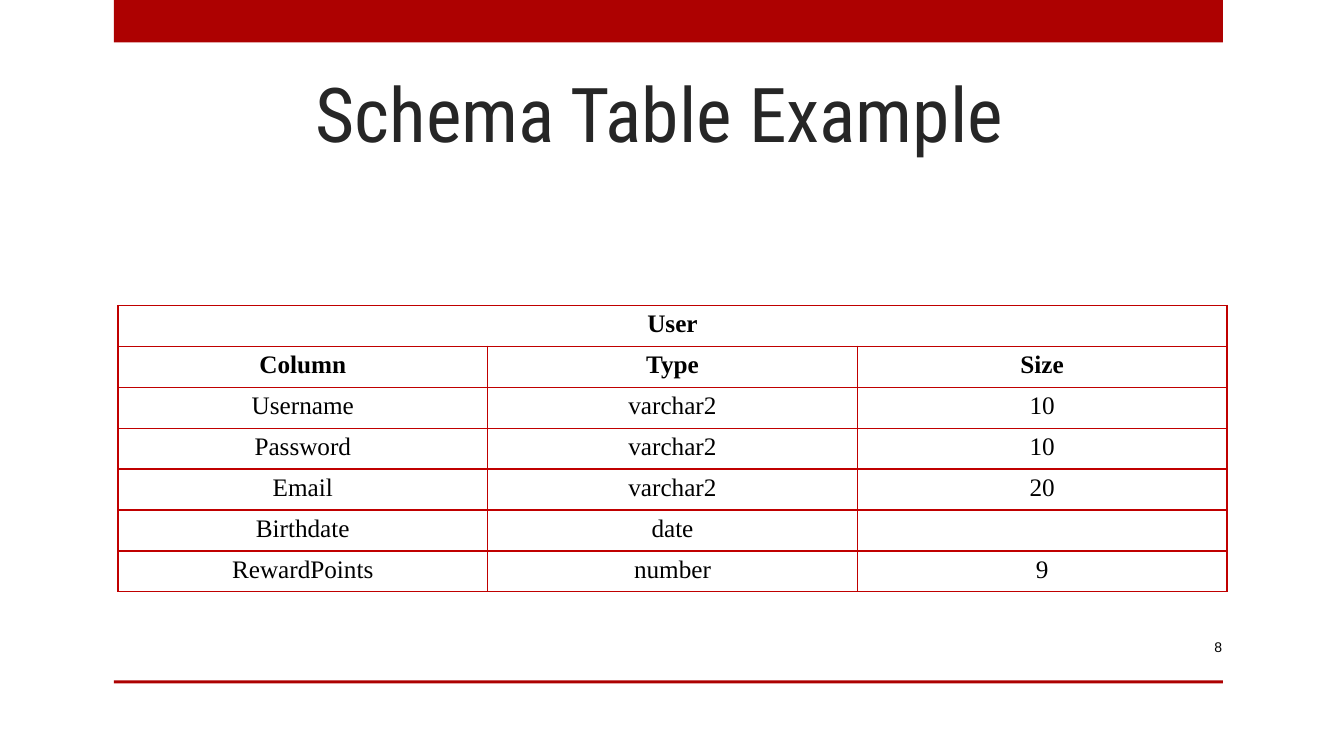
from dataclasses import dataclass

from lxml.etree import SubElement
from pptx import Presentation
from pptx.dml.color import RGBColor as RGB
from pptx.enum.shapes import MSO_SHAPE as Shape
from pptx.enum.text import MSO_ANCHOR as Anchor, PP_ALIGN as Align
from pptx.oxml.ns import qn
from pptx.util import Inches, Pt

TITLE = "Schema Table Example"
PAGE_NUMBER = "8"
ENTITY = "User"
HEADINGS = ("Column", "Type", "Size")
FIELDS = [
    ("Username", "varchar2", "10"),
    ("Password", "varchar2", "10"),
    ("Email", "varchar2", "20"),
    ("Birthdate", "date", ""),
    ("RewardPoints", "number", "9"),
]


@dataclass(frozen=True)
class Theme:
    band: str = "AD0101"
    grid: str = "C00000"
    paper: str = "FFFFFF"
    title_ink: str = "262626"
    ink: str = "000000"
    title_font: str = "Roboto Condensed"
    page_font: str = "Arial"
    table_font: str = "Times New Roman"
    title_size: int = 54
    page_size: int = 10
    table_size: int = 18
    grid_width: int = 1


THEME = Theme()
MARGIN, CONTENT_WIDTH = 1.13, 11
BANDS = [(0, 0.42), (6.75, 0.03)]  # top, height
TABLE_LEFT, TABLE_TOP, ROW_HEIGHT = 1.17, 3.03, 0.406


def write(frame, text, font, size, color, align, bold=False):
    paragraph = frame.paragraphs[0]
    paragraph.alignment = align
    run = paragraph.add_run()
    run.text = text
    run.font.name, run.font.size, run.font.bold = font, Pt(size), bold
    run.font.color.rgb = RGB.from_string(color)


def add_band(slide, top, height):
    band = slide.shapes.add_shape(
        Shape.RECTANGLE, Inches(MARGIN), Inches(top), Inches(CONTENT_WIDTH), Inches(height))
    band.shadow.inherit = False
    band.fill.solid()
    band.fill.fore_color.rgb = RGB.from_string(THEME.band)
    band.line.fill.background()


def add_text_area(slide, left, top, width, height):
    area = slide.shapes.add_textbox(Inches(left), Inches(top), Inches(width), Inches(height))
    area.text_frame.word_wrap = True
    return area.text_frame


def style_cell(cell):
    """Draw the four borders, then the fill, in the order the schema asks for."""
    properties = cell._tc.get_or_add_tcPr()
    for side in ("a:lnL", "a:lnR", "a:lnT", "a:lnB"):
        line = SubElement(properties, qn(side), w=str(Pt(THEME.grid_width)))
        SubElement(SubElement(line, qn("a:solidFill")), qn("a:srgbClr"), val=THEME.grid)
    cell.fill.solid()
    cell.fill.fore_color.rgb = RGB.from_string(THEME.paper)


def add_schema(slide):
    rows = [(ENTITY, "", ""), HEADINGS, *FIELDS]
    schema = slide.shapes.add_table(
        len(rows), len(HEADINGS), Inches(TABLE_LEFT), Inches(TABLE_TOP),
        Inches(CONTENT_WIDTH), Inches(ROW_HEIGHT * len(rows))).table
    schema.first_row = schema.horz_banding = False
    schema.cell(0, 0).merge(schema.cell(0, len(HEADINGS) - 1))
    for r, values in enumerate(rows):
        for c, value in enumerate(values):
            cell = schema.cell(r, c)
            style_cell(cell)
            if value:
                write(cell.text_frame, value, THEME.table_font, THEME.table_size,
                      THEME.ink, Align.CENTER, bold=r < 2)


def main():
    deck = Presentation()
    deck.slide_width, deck.slide_height = Inches(13.33), Inches(7.5)
    slide = deck.slides.add_slide(deck.slide_layouts[6])

    for top, height in BANDS:
        add_band(slide, top, height)

    title = add_text_area(slide, 3.06, 0.63, 7.2, 0.96)
    title.margin_left = title.margin_right = Inches(0.07)
    title.margin_top = title.margin_bottom = Inches(0.03)
    write(title, TITLE, THEME.title_font, THEME.title_size, THEME.title_ink, Align.LEFT)

    page = add_text_area(slide, 11.11, 6.22, 1.11, 0.4)
    page.vertical_anchor = Anchor.MIDDLE
    write(page, PAGE_NUMBER, THEME.page_font, THEME.page_size, THEME.ink, Align.RIGHT)

    add_schema(slide)
    deck.save("out.pptx")


if __name__ == "__main__":
    main()
